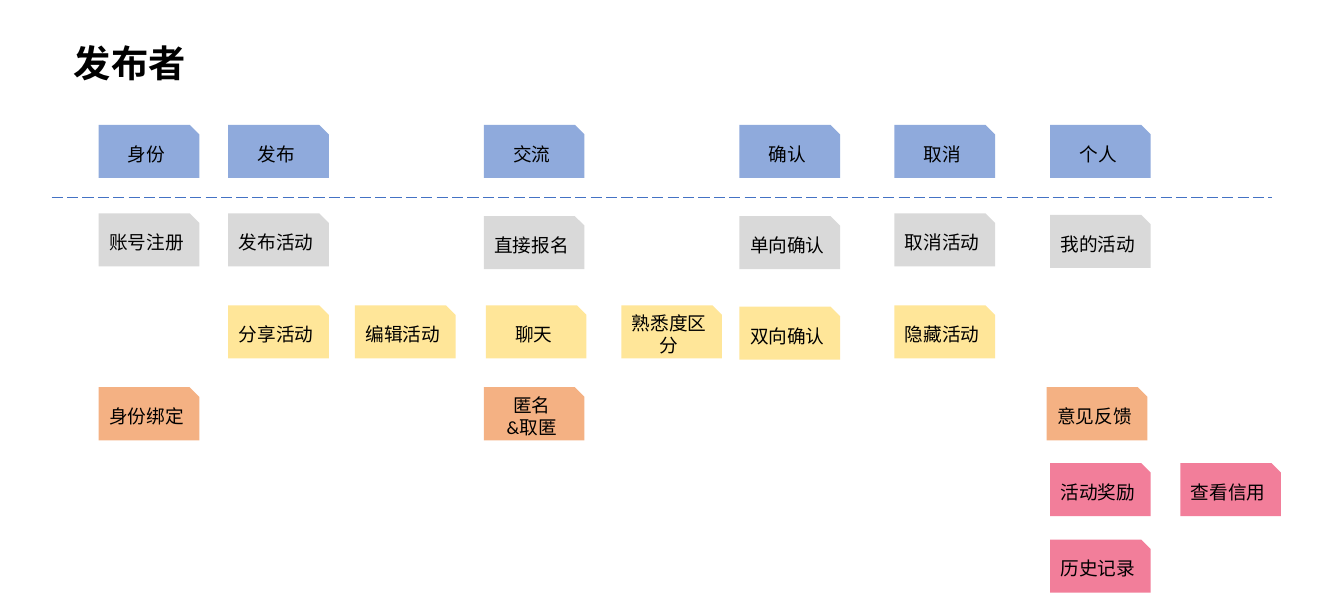
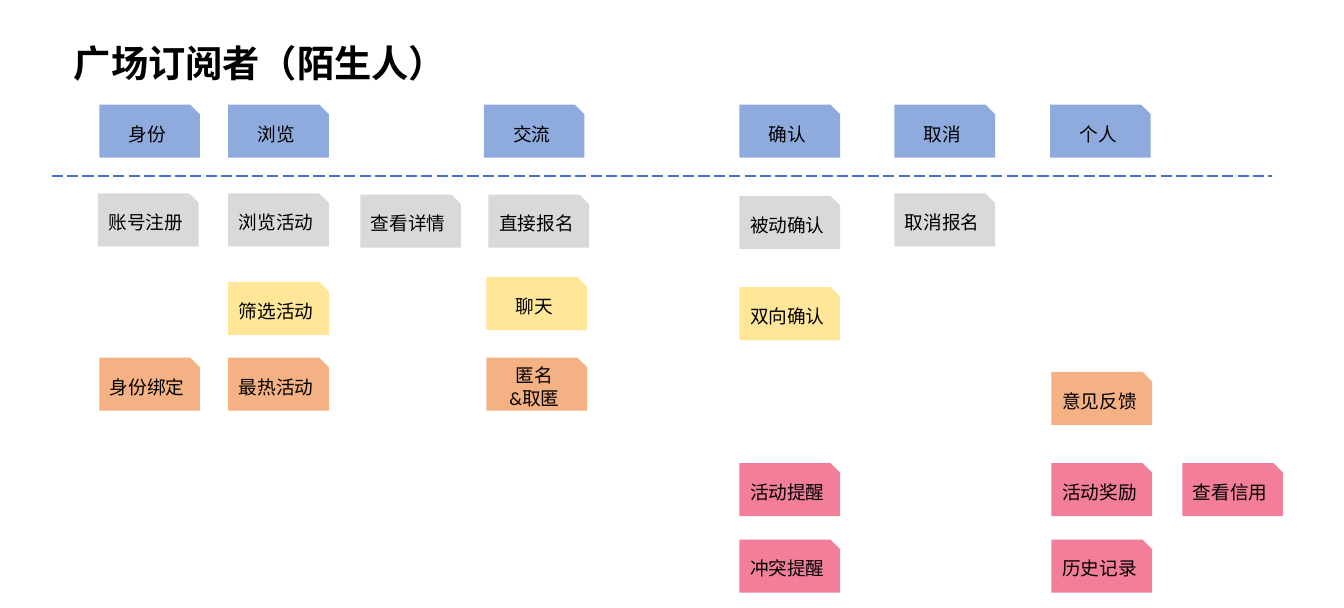
"""Build two feature maps: one for the publisher and one for the subscriber."""
from lxml import etree
from pptx import Presentation
from pptx.dml.color import RGBColor
from pptx.enum.dml import MSO_LINE
from pptx.enum.shapes import MSO_CONNECTOR, MSO_SHAPE
from pptx.enum.text import MSO_ANCHOR, MSO_AUTO_SIZE, PP_ALIGN
from pptx.oxml.ns import qn
from pptx.util import Inches, Pt

SNIPPED_CARD = MSO_SHAPE.SNIP_1_RECTANGLE
STRAIGHT = MSO_CONNECTOR.STRAIGHT
LONG_DASH = MSO_LINE.LONG_DASH
TOP, MIDDLE = MSO_ANCHOR.TOP, MSO_ANCHOR.MIDDLE
LEFT, CENTER = PP_ALIGN.LEFT, PP_ALIGN.CENTER
NO_AUTOFIT = MSO_AUTO_SIZE.NONE

FONT = "Calibri"
BLACK = RGBColor(0x00, 0x00, 0x00)
DIVIDER_BLUE = RGBColor(0x44, 0x72, 0xC4)
BLUE = RGBColor(0x8F, 0xAA, 0xDC)
GRAY = RGBColor(0xD9, 0xD9, 0xD9)
YELLOW = RGBColor(0xFF, 0xE6, 0x99)
ORANGE = RGBColor(0xF4, 0xB1, 0x83)
PINK = RGBColor(0xF2, 0x7E, 0x9A)
ROW_COLORS = [BLUE, GRAY, YELLOW, ORANGE, PINK, PINK]

CARD_WIDTH, CARD_HEIGHT, CARD_SNIP = 1.5, 0.79, 0.18
DIVIDER_START, DIVIDER_END = 0.77, 18.96

FEATURE_MAPS = [
    {
        "title": "发布者",
        "title_width": 2.4,
        "divider": 2.94,
        "columns": [1.47, 3.4, 5.29, 7.21, 9.26, 11.02, 13.33, 15.65, 17.59],
        "rows": [1.86, 3.2, 4.55, 5.77, 6.9, 8.04],
        "cards": [
            {0: "身份", 1: "发布", 3: "交流", 5: "确认", 6: "取消", 7: "个人"},
            {0: "账号注册", 1: "发布活动", 3: "直接报名", 5: "单向确认",
             6: "取消活动", 7: "我的活动"},
            {1: "分享活动", 2: "编辑活动", 3: "聊天", 4: "熟悉度区分",
             5: "双向确认", 6: "隐藏活动"},
            {0: "身份绑定", 3: "匿名\n&取匿", 7: "意见反馈"},
            {7: "活动奖励", 8: "查看信用"},
            {7: "历史记录"},
        ],
        "nudges": {"聊天": (0.03, 0), "意见反馈": (-0.05, 0),
                   "账号注册": (0, -0.02), "发布活动": (0, -0.02),
                   "取消活动": (0, -0.02), "直接报名": (0, 0.02),
                   "单向确认": (0, 0.02), "双向确认": (0, 0.02)},
    },
    {
        "title": "广场订阅者（陌生人）",
        "title_width": 6.47,
        "divider": 2.62,
        "columns": [1.48, 3.4, 5.37, 7.25, 9.26, 11.02, 13.33, 15.67, 17.62],
        "rows": [1.56, 2.9, 4.2, 5.33, 6.9, 8.04],
        "cards": [
            {0: "身份", 1: "浏览", 3: "交流", 5: "确认", 6: "取消", 7: "个人"},
            {0: "账号注册", 1: "浏览活动", 2: "查看详情", 3: "直接报名",
             5: "被动确认", 6: "取消报名"},
            {1: "筛选活动", 3: "聊天", 5: "双向确认"},
            {0: "身份绑定", 1: "最热活动", 3: "匿名\n&取匿", 7: "意见反馈"},
            {5: "活动提醒", 7: "活动奖励", 8: "查看信用"},
            {5: "冲突提醒", 7: "历史记录"},
        ],
        "nudges": {"交流": (-0.04, 0), "个人": (-0.02, 0),
                   "账号注册": (-0.02, -0.02), "浏览活动": (0, -0.02),
                   "取消报名": (0, -0.02), "直接报名": (0.03, 0),
                   "被动确认": (0, 0.02), "聊天": (0, -0.07),
                   "双向确认": (0, 0.08), "意见反馈": (0, 0.21)},
    },
]


def write_text(shape, text, size, bold, alignment, anchor):
    """Fill a shape with uniformly formatted text."""
    text_frame = shape.text_frame
    text_frame.text = text
    text_frame.word_wrap = True
    text_frame.auto_size = NO_AUTOFIT
    text_frame.vertical_anchor = anchor
    for paragraph in text_frame.paragraphs:
        paragraph.alignment = alignment
        for run in paragraph.runs:
            run.font.name = FONT
            run.font.size = Pt(size)
            run.font.bold = bold
            run.font.color.rgb = BLACK


presentation = Presentation()
presentation.slide_width = Inches(20.03)
presentation.slide_height = Inches(9.06)
title_only = presentation.slide_layouts.get_by_name("Title Only")

for feature_map in FEATURE_MAPS:
    slide = presentation.slides.add_slide(title_only)
    title = slide.shapes.title
    title.left, title.top = Inches(1), Inches(0.55)
    title.width, title.height = Inches(feature_map["title_width"]), Inches(0.77)
    write_text(title, feature_map["title"], 40, True, LEFT, TOP)

    for top, color, cards in zip(feature_map["rows"], ROW_COLORS, feature_map["cards"]):
        for column, text in cards.items():
            shift_right, shift_down = feature_map["nudges"].get(text, (0, 0))
            card = slide.shapes.add_shape(
                SNIPPED_CARD,
                Inches(feature_map["columns"][column] + shift_right),
                Inches(top + shift_down),
                Inches(CARD_WIDTH), Inches(CARD_HEIGHT))
            card.adjustments[0] = CARD_SNIP
            card.shadow.inherit = False
            card.fill.solid()
            card.fill.fore_color.rgb = color
            card.line.fill.background()
            write_text(card, text, 20, False, CENTER, MIDDLE)

    divider_top = Inches(feature_map["divider"])
    divider = slide.shapes.add_connector(
        STRAIGHT, Inches(DIVIDER_START), divider_top, Inches(DIVIDER_END), divider_top)
    divider.line.color.rgb = DIVIDER_BLUE
    divider.line.width = Pt(1.5)
    divider.line.dash_style = LONG_DASH
    etree.SubElement(divider.element.spPr, qn("a:effectLst"))

presentation.save("out.pptx")
